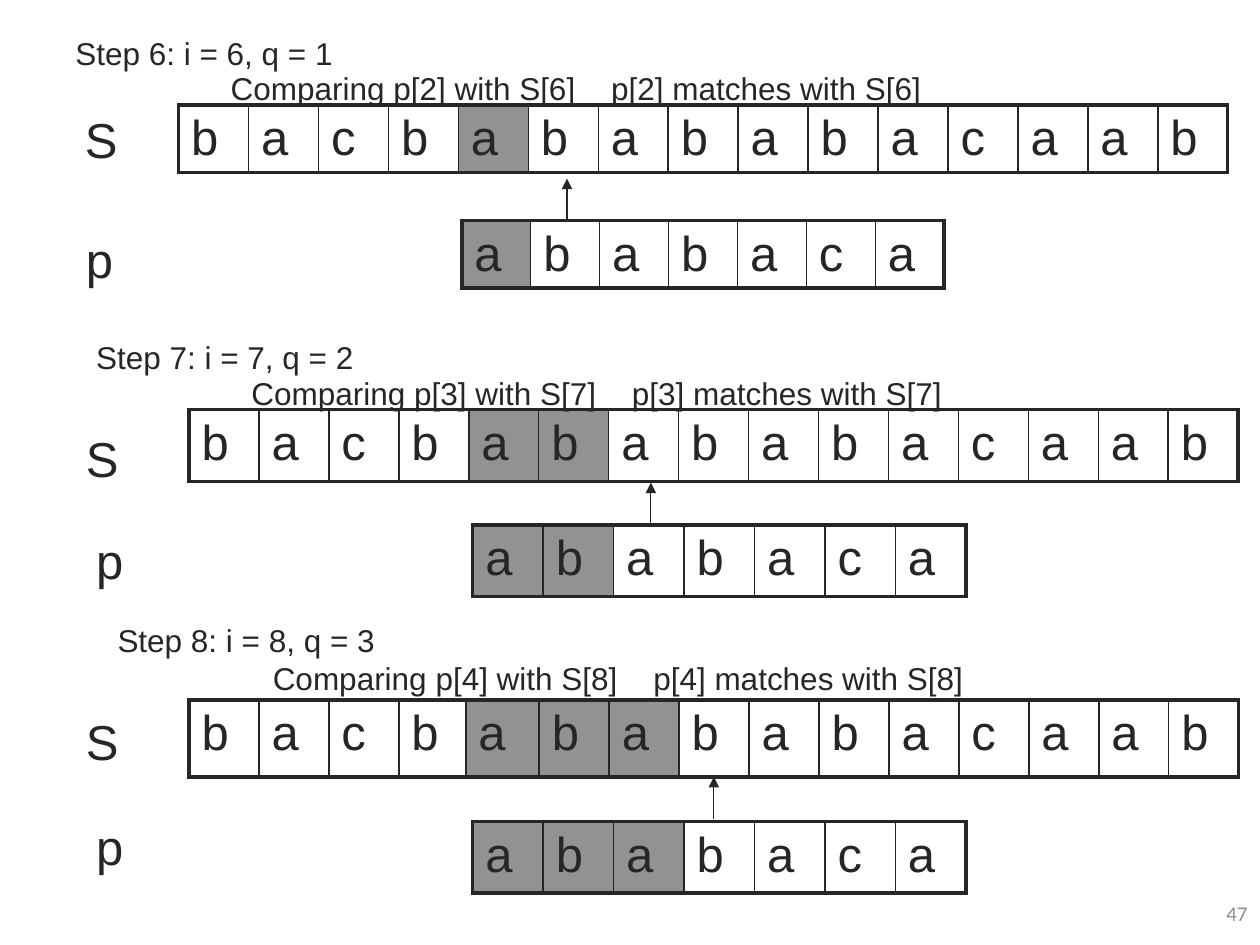
from lxml import etree
from pptx import Presentation
from pptx.dml.color import RGBColor
from pptx.enum.shapes import MSO_CONNECTOR
from pptx.enum.text import MSO_ANCHOR, MSO_AUTO_SIZE, PP_ALIGN
from pptx.oxml.ns import qn
from pptx.util import Cm, Pt

STRAIGHT = MSO_CONNECTOR.STRAIGHT
MIDDLE = MSO_ANCHOR.MIDDLE
RIGHT = PP_ALIGN.RIGHT
GROW = MSO_AUTO_SIZE.SHAPE_TO_FIT_TEXT

# Content: one entry per matching step, lengths in centimetres
COLORS = {"ink": "262626", "number": "8E8E8E"}
TEXT = "bacbabababacaab"
PATTERN = "ababaca"
TEXT_START = 4  # index in TEXT where the pattern is aligned
STEPS = [
    {"i": 6, "q": 1, "heading": (1.27, 0.64), "notes_top": 1.27,
     "labels": {"S": (1.46, 2.08), "p": (1.48, 4.5)},
     "text": (3.6, 2.12), "text_height": 1.27, "text_widths": {},
     "pattern": (9.31, 4.45), "pattern_height": 1.27, "pattern_cell": 1.39,
     "arrow": (11.43, 4.45)},
    {"i": 7, "q": 2, "heading": (1.69, 6.77), "notes_top": 7.41,
     "labels": {"S": (1.48, 8.51), "p": (1.69, 10.58)},
     "text": (3.81, 8.26), "text_height": 1.27, "text_widths": {},
     "pattern": (9.53, 10.58), "pattern_height": 1.35, "pattern_cell": 1.42,
     "arrow": (13.12, 10.58)},
    {"i": 8, "q": 3, "heading": (2.12, 12.49), "notes_top": 13.16,
     "labels": {"S": (1.48, 14.22), "p": (1.69, 16.33)},
     "text": (3.81, 14.11), "text_height": 1.55, "text_widths": {3: 1.35, 4: 1.48},
     "pattern": (9.53, 16.56), "pattern_height": 1.35, "pattern_cell": 1.42,
     "arrow": (14.39, 16.51)},
]
TEXT_CELL = 1.41
ARROW_LENGTH = 0.85
NOTES = [("Comparing p[{0}] with S[{1}]", 3.13, 7.47),
         ("p[{0}] matches with S[{1}]", 10.8, 6.76)]
LETTER = {"size": Pt(28), "name": "Arial"}
CAPTION = {"size": Pt(18), "name": "Arial"}
NUMBER = {"size": Pt(12), "name": "Calibri"}


def write(frame, words, font, color="ink"):
    para = frame.paragraphs[0]
    span = para.add_run()
    span.text = words
    for key, value in font.items():
        setattr(span.font, key, value)
    span.font.color.rgb = RGBColor.from_string(COLORS[color])
    return para


def add_text(page, words, at, size, font, color="ink", **settings):
    box = page.shapes.add_textbox(*map(Cm, at + size))
    for key, value in settings.items():
        setattr(box.text_frame, key, value)
    return write(box.text_frame, words, font, color)


def set_borders(cell, widths):
    properties = cell._tc.get_or_add_tcPr()
    for index, (side, width) in enumerate(zip("LRTB", widths)):
        line = etree.Element(qn(f"a:ln{side}"), w=str(Pt(width)))
        fill = etree.SubElement(line, qn("a:solidFill"))
        etree.SubElement(fill, qn("a:srgbClr"), val=COLORS["ink"])
        properties.insert(index, line)


def shade(cell):
    cell.fill.solid()
    cell.fill.fore_color.rgb = RGBColor.from_string(COLORS["ink"])
    color = cell._tc.tcPr.find(qn("a:solidFill")).find(qn("a:srgbClr"))
    etree.SubElement(color, qn("a:alpha"), val="50000")


def add_array(page, letters, at, widths, height, shaded):
    size = (sum(widths), height)
    table = page.shapes.add_table(1, len(letters), *map(Cm, at + size)).table
    table.first_row = table.horz_banding = False
    table.rows[0].height = Cm(height)
    last = len(letters) - 1
    for index, letter in enumerate(letters):
        table.columns[index].width = Cm(widths[index])
        cell = table.cell(0, index)
        write(cell.text_frame, letter, LETTER)
        if index in shaded:
            shade(cell)
        else:
            cell.fill.background()
        set_borders(cell, (2.25 if index == 0 else 1,
                           2.25 if index == last else 1, 2.25, 2.25))


def add_arrow(page, left, bottom):
    arrow = page.shapes.add_connector(
        STRAIGHT, Cm(left), Cm(bottom), Cm(left), Cm(bottom - ARROW_LENGTH))
    arrow.line.width = Pt(0.75)
    arrow.line.color.rgb = RGBColor.from_string(COLORS["ink"])
    etree.SubElement(arrow.line._get_or_add_ln(), qn("a:tailEnd"), type="triangle")
    etree.SubElement(arrow._element.spPr, qn("a:effectLst"))


def add_step(page, step):
    matched = step["q"]
    # Arrays, with the part matched so far shaded
    widths = [step["text_widths"].get(k, TEXT_CELL) for k in range(len(TEXT))]
    add_array(page, TEXT, step["text"], widths, step["text_height"],
              range(TEXT_START, TEXT_START + matched))
    add_array(page, PATTERN, step["pattern"], [step["pattern_cell"]] * len(PATTERN),
              step["pattern_height"], range(matched))
    add_arrow(page, *step["arrow"])

    # Heading and notes
    heading = f"Step {step['i']}: i = {step['i']}, q = {matched}"
    para = add_text(page, heading, step["heading"], (6.35, 0.64), CAPTION, word_wrap=True)
    para.line_spacing = 0.9
    for words, offset, width in NOTES:
        add_text(page, words.format(matched + 1, step["i"]),
                 (step["heading"][0] + offset, step["notes_top"]), (width, 1.02),
                 CAPTION, word_wrap=False, auto_size=GROW)

    # Array names
    for name, at in step["labels"].items():
        add_text(page, name, at, (1.12, 1.45), LETTER, word_wrap=False, auto_size=GROW)


def main():
    deck = Presentation()
    deck.slide_width, deck.slide_height = Cm(25.4), Cm(19.05)
    page = deck.slides.add_slide(deck.slide_layouts[6])
    for step in STEPS:
        add_step(page, step)
    # Page number
    para = add_text(page, "47", (19.47, 17.74), (5.93, 1.32), NUMBER, "number",
                    word_wrap=True, vertical_anchor=MIDDLE)
    para.alignment = RIGHT
    deck.save("out.pptx")


if __name__ == "__main__":
    main()
